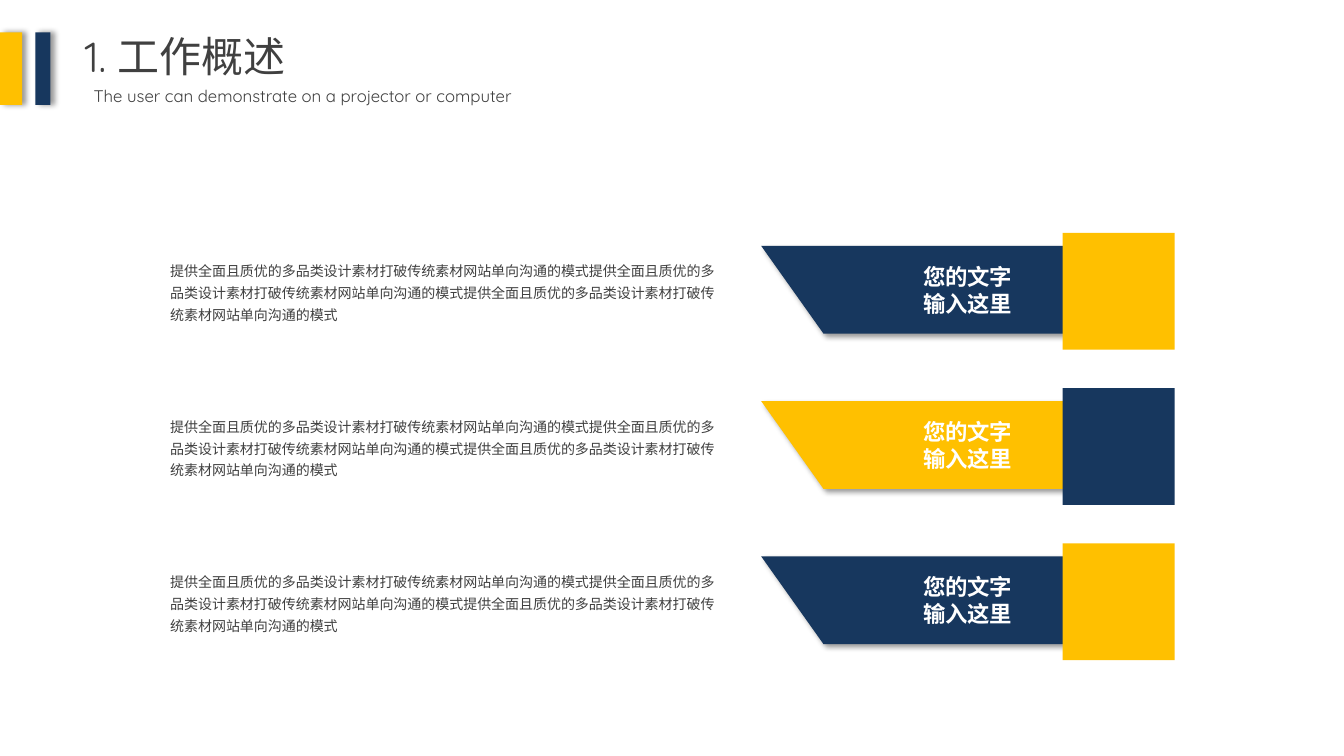
import pptx
import pptx.dml.color
import pptx.enum.shapes
import pptx.enum.text
import pptx.oxml
import pptx.oxml.ns
import pptx.util

PX = 9144  # EMU per px, 100 px to the inch
NAVY, GOLD, GREY, WHITE = "17375E", "FFC000", "404040", "FFFFFF"
KIND = pptx.enum.shapes.MSO_SHAPE
ALIGN = pptx.enum.text.PP_ALIGN
FIT = pptx.enum.text.MSO_AUTO_SIZE.SHAPE_TO_FIT_TEXT

TITLE = "1. 工作概述"
MOTTO = "The user can demonstrate on a projector or computer"
BODY = "提供全面且质优的多品类设计素材打破传统素材网站单向沟通的模式" * 3
LABEL = "您的文字\n输入这里"


def color(text):
    return pptx.dml.color.RGBColor.from_string(text)


def scale(*box):
    return [pptx.util.Emu(n * PX) for n in box]


def apply(target, values):
    for name, value in values.items():
        setattr(target, name, value)


class Page:
    font = "Quicksand"

    def __init__(self, deck):
        self.slide = deck.slides.add_slide(deck.slide_layouts[6])

    def shape(self, kind, box, fill, turn=0, angle=None):
        item = self.slide.shapes.add_shape(kind, *scale(*box))
        item.rotation = turn
        item.fill.solid()
        item.fill.fore_color.rgb = color(fill)
        item.line.fill.background()
        item.shadow.inherit = False
        if angle is not None:
            self.shade(item, angle)

    def shade(self, item, angle):
        effects = item._element.spPr.find(pptx.oxml.ns.qn("a:effectLst"))
        effects.append(pptx.oxml.parse_xml(
            f'<a:outerShdw {pptx.oxml.ns.nsdecls("a")} blurRad="50800" '
            f'dist="38100" dir="{angle * 60000}" algn="tl" rotWithShape="0">'
            '<a:srgbClr val="000000"><a:alpha val="40000"/></a:srgbClr>'
            '</a:outerShdw>'))

    def text(self, box, words, size, tint=GREY, bold=False, wrap=True, **para):
        frame = self.slide.shapes.add_textbox(*scale(*box)).text_frame
        frame.text = words
        apply(frame, {"word_wrap": wrap, "auto_size": FIT})
        style = {"name": self.font, "size": pptx.util.Pt(size), "bold": bold}
        for line in frame.paragraphs:
            apply(line, para)
            for run in line.runs:
                apply(run.font, style)
                run.font.color.rgb = color(tint)


def main():
    deck = pptx.Presentation()
    deck.slide_width, deck.slide_height = scale(1333, 750)
    page = Page(deck)

    # Heading
    page.text((74, 25, 235, 61), TITLE, 30, wrap=False)
    page.text((83, 80, 477, 30), MOTTO, 12)
    for left, width, fill in ((0, 22, GOLD), (35, 15, NAVY)):
        page.shape(KIND.RECTANGLE, (left, 32, width, 72), fill, angle=0)

    # Rows: banner, label, body text and square
    for row in range(3):
        drop = row * 154
        band, block = (GOLD, NAVY) if row % 2 else (NAVY, GOLD)
        page.shape(KIND.FLOWCHART_MANUAL_INPUT, (866, 133 + drop, 87, 309),
                   band, turn=270, angle=45)
        page.text((888, 256 + drop, 126, 64), LABEL, 16, WHITE, bold=True,
                  alignment=ALIGN.RIGHT)
        page.text((159, 251 + drop, 563, 76), BODY, 10, line_spacing=1.3)
        page.shape(KIND.RECTANGLE, (1054, 231 + drop, 111, 116), block)

    deck.save("out.pptx")


if __name__ == "__main__":
    main()
